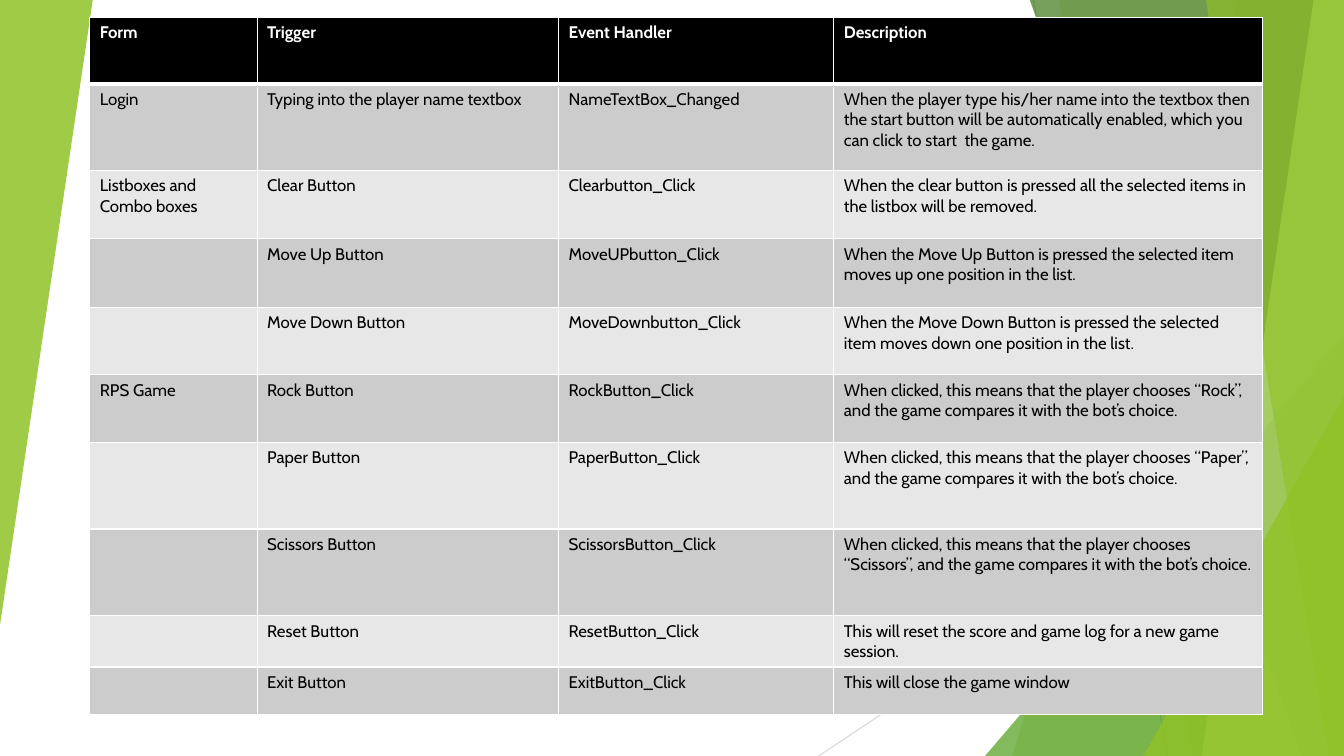
import pptx
import pptx.util
import pptx.dml.color
import pptx.enum.shapes
import pptx.oxml
import pptx.oxml.ns

Inches = pptx.util.Inches
Pt = pptx.util.Pt
qn = pptx.oxml.ns.qn


def color(target, code):
    """Make a fill solid in one hex color."""
    target.solid()
    target.fore_color.rgb = pptx.dml.color.RGBColor.from_string(code)


def paint(shape, code, alpha):
    """Fill a shape without outline, at a given percent of opacity."""
    shape.shadow.inherit = False
    shape.line.fill.background()
    color(shape.fill, code)
    tint = shape.fill._xPr.find(qn("a:solidFill"))[0]
    pptx.oxml.ns  # namespace helpers used below
    node = tint.makeelement(qn("a:alpha"), {"val": str(alpha * 1000)})
    tint.append(node)


deck = pptx.Presentation()
deck.slide_width = Inches(13.33)
deck.slide_height = Inches(7.5)
slide = deck.slides.add_slide(deck.slide_layouts[6])
shapes = slide.shapes

# Thin lines behind the panels
for x1, y1, x2, y2, code in [
    (10.25, 0, 11.58, 7.5, "BFBFBF"),
    (13.33, 4.03, 8.12, 7.5, "D9D9D9"),
]:
    line = shapes.add_connector(
        pptx.enum.shapes.MSO_CONNECTOR.STRAIGHT,
        Inches(x1), Inches(y1), Inches(x2), Inches(y2))
    color(line.line.fill, code)
    line.line.width = Pt(0.75)
    props = line._element.spPr
    props.append(props.makeelement(qn("a:effectLst"), {}))

# Green panels: a slab has its top left and bottom left x,
# a wedge has left, top, width, height and turn
right, top, base = 13.33, -0.01, 7.5
panels = [
    ("slab", (12.28, 10.04), "90C226", 30),
    ("slab", (10.5, 11.83), "90C226", 20),
    ("wedge", (9.77, 3.33, 3.56, 4.17, 0), "54A021", 72),
    ("slab", (10.21, 12.91), "3F7819", 70),
    ("slab", (13.03, 11.92), "C0E474", 70),
    ("slab", (11.96, 13.18), "90C226", 65),
    ("wedge", (11.34, 3.93, 1.99, 3.57, 0), "90C226", 80),
    ("wedge", (0, 0, 0.92, 6.2, 180), "90C226", 85),
]
for kind, place, code, alpha in panels:
    if kind == "slab":
        high, low = place
        form = shapes.build_freeform(Inches(high), Inches(top))
        form.add_line_segments(
            [(Inches(x), Inches(y))
             for x, y in [(right, top), (right, base), (low, base)]],
            close=True)
        panel = form.convert_to_shape()
    else:
        *box, turn = place
        panel = shapes.add_shape(
            pptx.enum.shapes.MSO_SHAPE.ISOSCELES_TRIANGLE,
            *[Inches(v) for v in box])
        panel.adjustments[0] = 1
        panel.rotation = turn
    paint(panel, code, alpha)

# Event table
rows = [
    ("Form", "Trigger", "Event Handler", "Description"),
    ("Login", "Typing into the player name textbox", "NameTextBox_Changed",
     "When the player type his/her name into the textbox then the start button "
     "will be automatically enabled, which you can click to start  the game."),
    ("Listboxes and Combo boxes", "Clear Button", "Clearbutton_Click",
     "When the clear button is pressed all the selected items in the listbox "
     "will be removed."),
    ("", "Move Up Button", "MoveUPbutton_Click",
     "When the Move Up Button is pressed the selected item moves up one "
     "position in the list."),
    ("", "Move Down Button", "MoveDownbutton_Click",
     "When the Move Down Button is pressed the selected item moves down one "
     "position in the list."),
    ("RPS Game", "Rock Button", "RockButton_Click",
     "When clicked, this means that the player chooses “Rock”, and the game "
     "compares it with the bot’s choice."),
    ("", "Paper Button", "PaperButton_Click",
     "When clicked, this means that the player chooses “Paper”, and the game "
     "compares it with the bot’s choice."),
    ("", "Scissors Button", "ScissorsButton_Click",
     "When clicked, this means that the player chooses “Scissors”, and the "
     "game compares it with the bot’s choice."),
    ("", "Reset Button", "ResetButton_Click",
     "This will reset the score and game log for a new game session."),
    ("", "Exit Button", "ExitButton_Click", "This will close the game window"),
]
widths = [1.66, 2.99, 2.73, 4.25]
heights = [0.66, 0.86, 0.68, 0.68, 0.67, 0.67, 0.86, 0.86, 0.48, 0.47]
table = shapes.add_table(
    len(rows), len(widths), Inches(0.89), Inches(0.17),
    Inches(sum(widths)), Inches(sum(heights))).table
for col, width in zip(table.columns, widths):
    col.width = Inches(width)
for row, height in zip(table.rows, heights):
    row.height = Inches(height)

# Cell text, borders and fills
for r, words in enumerate(rows):
    head = r == 0
    style = {"name": "Cabin", "size": Pt(12), "bold": head}
    for c, text in enumerate(words):
        cell = table.cell(r, c)
        cell.text = text
        for run in cell.text_frame.paragraphs[0].runs:
            for key, value in style.items():
                setattr(run.font, key, value)
            color(run.font.fill, "FFFFFF" if head else "000000")
        props = cell._tc.get_or_add_tcPr()
        for side in "LRTB":
            thick = (head and side == "B") or (r == 1 and side == "T")
            props.append(pptx.oxml.parse_xml(
                f'<a:ln{side} {pptx.oxml.ns.nsdecls("a")} '
                f'w="{Pt(3 if thick else 1)}"><a:solidFill>'
                f'<a:srgbClr val="FFFFFF"/></a:solidFill></a:ln{side}>'))
        color(cell.fill, "000000" if head else ("E7E7E7", "CCCCCC")[r % 2])

deck.save("out.pptx")
